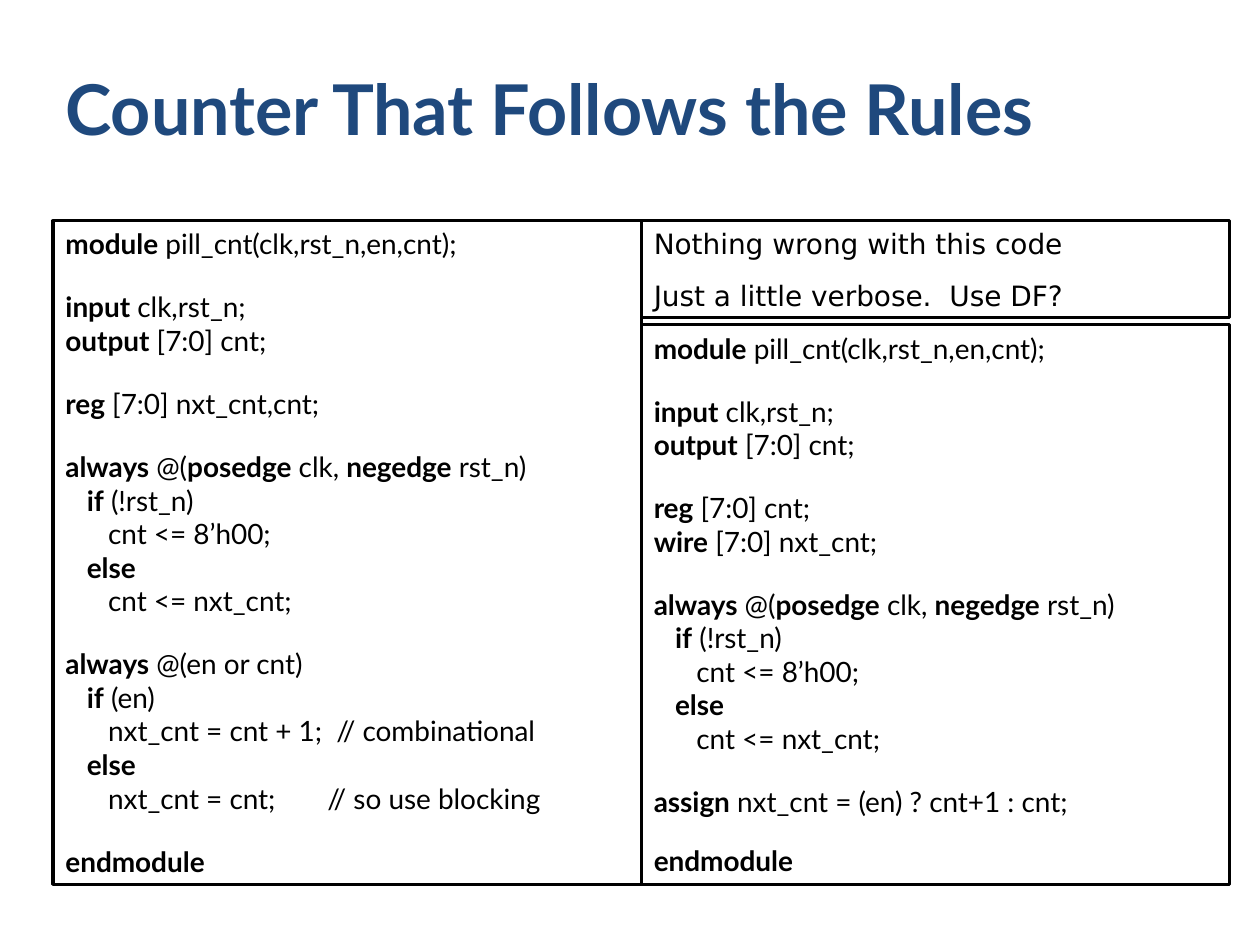
from lxml.etree import SubElement
from pptx import Presentation
from pptx.dml.color import RGBColor
from pptx.enum.shapes import MSO_SHAPE
from pptx.enum.text import MSO_ANCHOR, PP_ALIGN
from pptx.oxml.ns import qn
from pptx.util import Cm, Pt

NAVY = RGBColor(0x1F, 0x49, 0x7D)
BLACK = RGBColor(0x00, 0x00, 0x00)
CODE_FONT = "Lato"
NOTE_FONT = "DejaVu Sans"

# Two code indents, then the column of the trailing comment
TAB_STOPS = (Cm(0.43), Cm(0.86), Cm(5.28))

# Frame grid
LEFT, TOP, BOTTOM = Cm(1.07), Cm(4.45), Cm(17.83)
COLUMN = Cm(11.86)
RIGHT = LEFT + COLUMN
NOTE_HEIGHT = Cm(1.96)
DATAFLOW_TOP = Cm(6.55)

# Code in blocks of lines; text between asterisks is bold
HEADER = ["*module* pill_cnt(clk,rst_n,en,cnt);"]
PORTS = ["*input* clk,rst_n;", "*output* [7:0] cnt;"]
REGISTER = [
    "*always* @(*posedge* clk, *negedge* rst_n)",
    "\t*if* (!rst_n)",
    "\t\tcnt <= 8’h00;",
    "\t*else*",
    "\t\tcnt <= nxt_cnt;",
]
NEXT_COUNT = [
    "*always* @(en or cnt)",
    "\t*if* (en)",
    "\t\tnxt_cnt = cnt + 1;  // combinational",
    "\t*else*",
    "\t\tnxt_cnt = cnt;\t// so use blocking",
]
FOOTER = ["*endmodule*"]

VERBOSE_CODE = [HEADER, PORTS, ["*reg* [7:0] nxt_cnt,cnt;"],
                REGISTER, NEXT_COUNT, FOOTER]
DATAFLOW_CODE = [HEADER, PORTS, ["*reg* [7:0] cnt;", "*wire* [7:0] nxt_cnt;"],
                 REGISTER, ["*assign* nxt_cnt = (en) ? cnt+1 : cnt;"], FOOTER]
NOTES = [["Nothing wrong with this code"], ["Just a little verbose.  Use DF?"]]


def add_span(para, text, font, size, color, bold):
    span = para.add_run()
    span.text = text
    span.font.name = font
    span.font.size = Pt(size)
    span.font.bold = bold
    span.font.color.rgb = color


def add_tab_stops(para):
    tabs = SubElement(para._p.get_or_add_pPr(), qn("a:tabLst"))
    for position in TAB_STOPS:
        SubElement(tabs, qn("a:tab"), pos=str(position), algn="l")


def add_title(page, text):
    box = page.shapes.add_textbox(LEFT, Cm(1.19), Cm(22.86), Cm(2.18))
    box.text_frame.word_wrap = True
    add_span(box.text_frame.paragraphs[0], text, CODE_FONT, 40, NAVY, True)


def add_frame(page, left, top, height):
    box = page.shapes.add_shape(MSO_SHAPE.RECTANGLE, left, top, COLUMN, height)
    box.shadow.inherit = False
    box.fill.background()
    box.line.color.rgb = BLACK
    box.line.width = Pt(1.75)
    box.text_frame.word_wrap = True
    box.text_frame.vertical_anchor = MSO_ANCHOR.TOP
    return box


def write_blocks(box, blocks, font, gap, last_gap):
    """Write blocks of lines, with a gap above each block but the first."""
    frame = box.text_frame
    for number, block in enumerate(blocks):
        for row, line in enumerate(block):
            first = number == row == 0
            para = frame.paragraphs[0] if first else frame.add_paragraph()
            para.alignment = PP_ALIGN.LEFT
            if number and row == 0:
                is_last = number == len(blocks) - 1
                para.space_before = Pt(last_gap if is_last else gap)
            if "\t" in line:
                add_tab_stops(para)
            for index, text in enumerate(line.split("*")):
                if text:
                    add_span(para, text, font, 16, BLACK, index % 2 == 1)


def main():
    deck = Presentation()
    deck.slide_width, deck.slide_height = Cm(25.4), Cm(19.05)
    page = deck.slides.add_slide(deck.slide_layouts[6])

    add_title(page, "Counter That Follows the Rules")

    # Left: the verbose counter
    box = add_frame(page, LEFT, TOP, BOTTOM - TOP)
    write_blocks(box, VERBOSE_CODE, CODE_FONT, 16.8, 16.8)

    # Right: the remark above the dataflow counter
    box = add_frame(page, RIGHT, TOP, NOTE_HEIGHT)
    write_blocks(box, NOTES, NOTE_FONT, 10.4, 10.4)
    box = add_frame(page, RIGHT, DATAFLOW_TOP, BOTTOM - DATAFLOW_TOP)
    write_blocks(box, DATAFLOW_CODE, CODE_FONT, 16.8, 14.4)

    deck.save("out.pptx")


if __name__ == "__main__":
    main()
